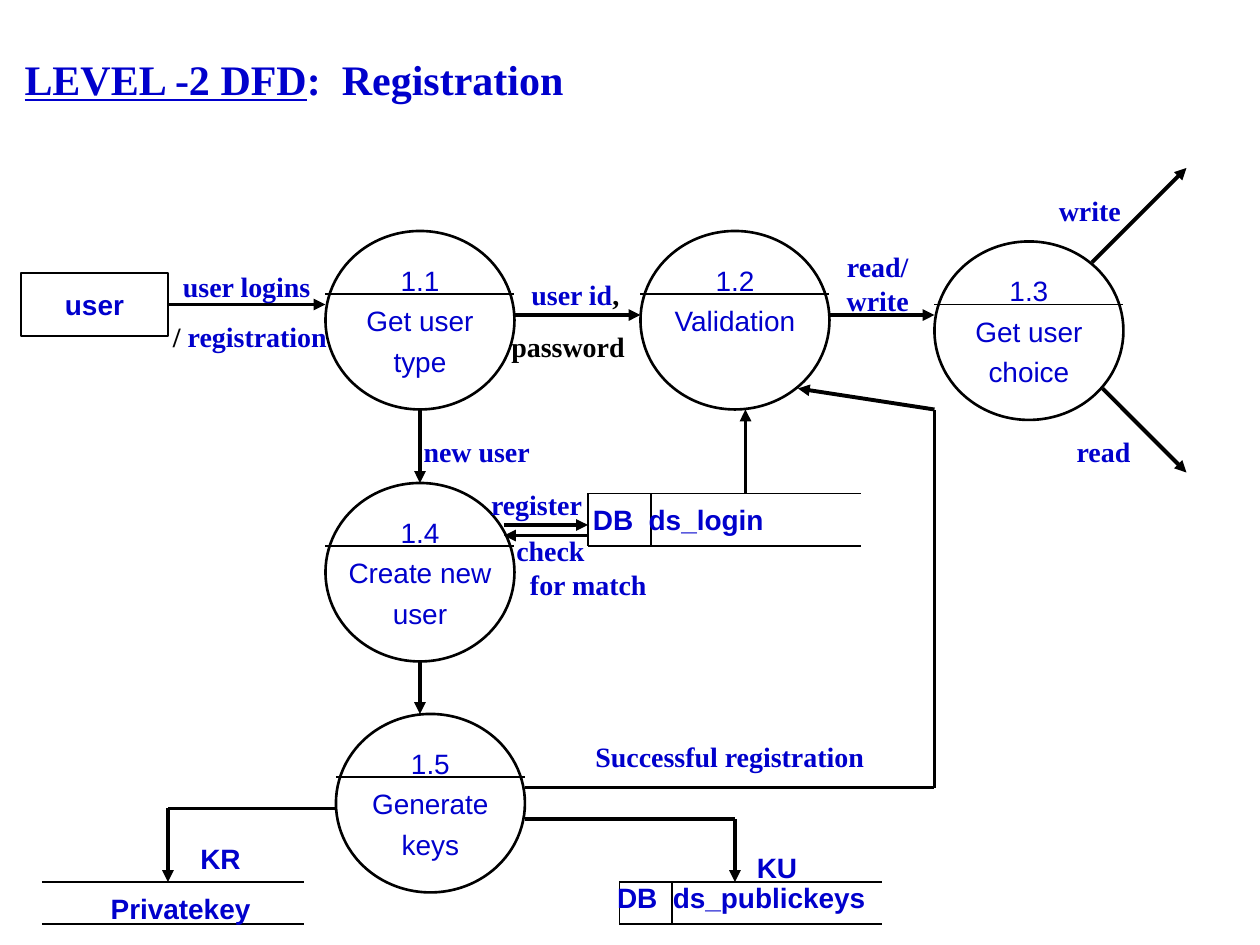
from pptx import Presentation
from pptx.dml.color import RGBColor
from pptx.enum.shapes import MSO_CONNECTOR, MSO_SHAPE
from pptx.enum.text import MSO_ANCHOR, PP_ALIGN
from pptx.oxml.ns import qn
from pptx.util import Cm, Pt
from lxml.etree import SubElement

COLOURS = {"text": "0000CC", "line": "000000", "box": "FFFFFF"}
SERIF = "Times New Roman"
SANS = "Arial"
GRID_CM = 2.54 / 12


def grid(units):
    return Cm(units * GRID_CM)


def colour(name):
    return RGBColor.from_string(COLOURS[name])


class DataFlowDiagram:
    process_width = 18
    process_height = 17
    divider_drop = 6

    def __init__(self, slide):
        self.slide = slide

    def style_paragraph(self, paragraph, font, size, bold):
        paragraph.alignment = PP_ALIGN.CENTER
        paragraph.font.name = font
        paragraph.font.size = Pt(size)
        paragraph.font.bold = bold

    def add_lines(self, frame, lines, font, size=16, bold=True):
        for index, runs in enumerate(lines):
            paragraph = frame.paragraphs[0] if index == 0 else frame.add_paragraph()
            self.style_paragraph(paragraph, font, size, bold)
            if isinstance(runs, str):
                runs = [(runs, "text")]
            for text, colour_name in runs:
                run = paragraph.add_run()
                run.text = text
                run.font.color.rgb = colour(colour_name)

    def label(self, centre_x, centre_y, *lines, font=SERIF, size=16, width=18, height=4):
        shape = self.slide.shapes.add_textbox(
            grid(centre_x - width / 2), grid(centre_y - height / 2), grid(width), grid(height))
        frame = shape.text_frame
        frame.word_wrap = True
        frame.vertical_anchor = MSO_ANCHOR.MIDDLE
        self.add_lines(frame, lines, font, size)
        return frame

    def outline(self, kind, left, top, width, height):
        shape = self.slide.shapes.add_shape(
            kind, grid(left), grid(top), grid(width), grid(height))
        shape.shadow.inherit = False
        shape.line.color.rgb = colour("line")
        shape.line.width = Pt(1.5)
        shape.text_frame.word_wrap = False
        return shape

    def entity(self, left, top, width, height, name):
        shape = self.outline(MSO_SHAPE.RECTANGLE, left, top, width, height)
        shape.fill.solid()
        shape.fill.fore_color.rgb = colour("box")
        shape.text_frame.vertical_anchor = MSO_ANCHOR.MIDDLE
        self.add_lines(shape.text_frame, [name], SANS)

    def process(self, left, top, *lines):
        shape = self.outline(
            MSO_SHAPE.OVAL, left, top, self.process_width, self.process_height)
        shape.fill.background()
        shape.text_frame.vertical_anchor = MSO_ANCHOR.TOP
        self.add_lines(shape.text_frame, lines, SANS, bold=False)
        for paragraph in shape.text_frame.paragraphs:
            paragraph.space_before = Pt(4)
        divider = top + self.divider_drop
        self.line((left, divider), (left + self.process_width, divider), 0.75)

    def line(self, start, end, weight=2.25, arrow=False):
        connector = self.slide.shapes.add_connector(
            MSO_CONNECTOR.STRAIGHT, *(grid(value) for value in start + end))
        connector.line.color.rgb = colour("line")
        connector.line.width = Pt(weight)
        properties = connector._element.spPr
        if arrow:
            SubElement(properties.find(qn("a:ln")), qn("a:tailEnd"), type="triangle")
        SubElement(properties, qn("a:effectLst"))

    def flow(self, *points):
        last = len(points) - 2
        for index, (start, end) in enumerate(zip(points, points[1:])):
            self.line(start, end, arrow=index == last)

    def store(self, left, right, top, bottom, weight, divider=None):
        for y in (top, bottom):
            self.line((left, y), (right, y), weight)
        if divider:
            for x in (left, divider):
                self.line((x, top), (x, bottom), weight)


def main():
    presentation = Presentation()
    presentation.slide_width = grid(120)
    presentation.slide_height = grid(90)
    slide = presentation.slides.add_slide(presentation.slide_layouts[6])
    diagram = DataFlowDiagram(slide)

    title = diagram.label(
        28, 7.5, [("LEVEL -2 DFD", "text"), (":  Registration", "text")],
        size=24, width=56, height=11)
    title.paragraphs[0].runs[0].font.underline = True

    diagram.entity(2, 26, 14, 6, "user")
    for left, top, *lines in (
        (31, 22, "1.1", "Get user", "type"),
        (61, 22, "1.2", "Validation"),
        (89, 23, "1.3", "Get user", "choice"),
        (31, 46, "1.4", "Create new", "user"),
        (32, 68, "1.5", "Generate", "keys"),
    ):
        diagram.process(left, top, *lines)

    diagram.store(59, 84, 84, 88, 0.75, divider=64)
    diagram.store(56, 82, 47, 52, 0.75, divider=62)
    diagram.store(4, 29, 84, 88, 1.5)

    for points in (
        ((16, 29), (31, 29)),
        ((49, 30), (61, 30)),
        ((79, 30), (89, 30)),
        ((40, 39), (40, 46)),
        ((40, 63), (40, 68)),
        ((32, 77), (16, 77), (16, 84)),
        ((50, 78), (70, 78), (70, 84)),
        ((71, 47), (71, 39)),
        ((104, 25), (113, 16)),
        ((105, 37), (113, 45)),
        ((50, 75), (89, 75), (89, 39), (76, 37)),
        ((48, 50), (56, 50)),
        ((56, 51), (48, 51)),
    ):
        diagram.flow(*points)

    for x, y, *lines in (
        (23.5, 27.3, "user logins"),
        (23.8, 32, [("/ ", "line"), ("registration", "text")]),
        (54.8, 28, [("user id", "text"), (",", "line")]),
        (54.1, 33, [("password", "line")]),
        (83.6, 27, "read/", "write"),
        (103.8, 20, "write"),
        (105.1, 43, "read"),
        (51.1, 48, "register"),
        (45.4, 43, "new user"),
    ):
        diagram.label(x, y, *lines)
    diagram.label(69.5, 72, "Successful registration", width=30)

    match = diagram.label(57, 54, "check", "for match")
    for paragraph, indent in zip(match.paragraphs, (0, 1.3)):
        paragraph.alignment = PP_ALIGN.LEFT
        paragraph._p.get_or_add_pPr().set("marL", str(grid(indent)))

    for x, y, text in (
        (70.6, 85.5, "DB  ds_publickeys"),
        (64.6, 49.5, "DB  ds_login"),
        (17.2, 86.5, "Privatekey"),
        (74, 82.6, "KU"),
        (21, 81.7, "KR"),
    ):
        diagram.label(x, y, text, font=SANS, width=30)

    presentation.save("out.pptx")


if __name__ == "__main__":
    main()
